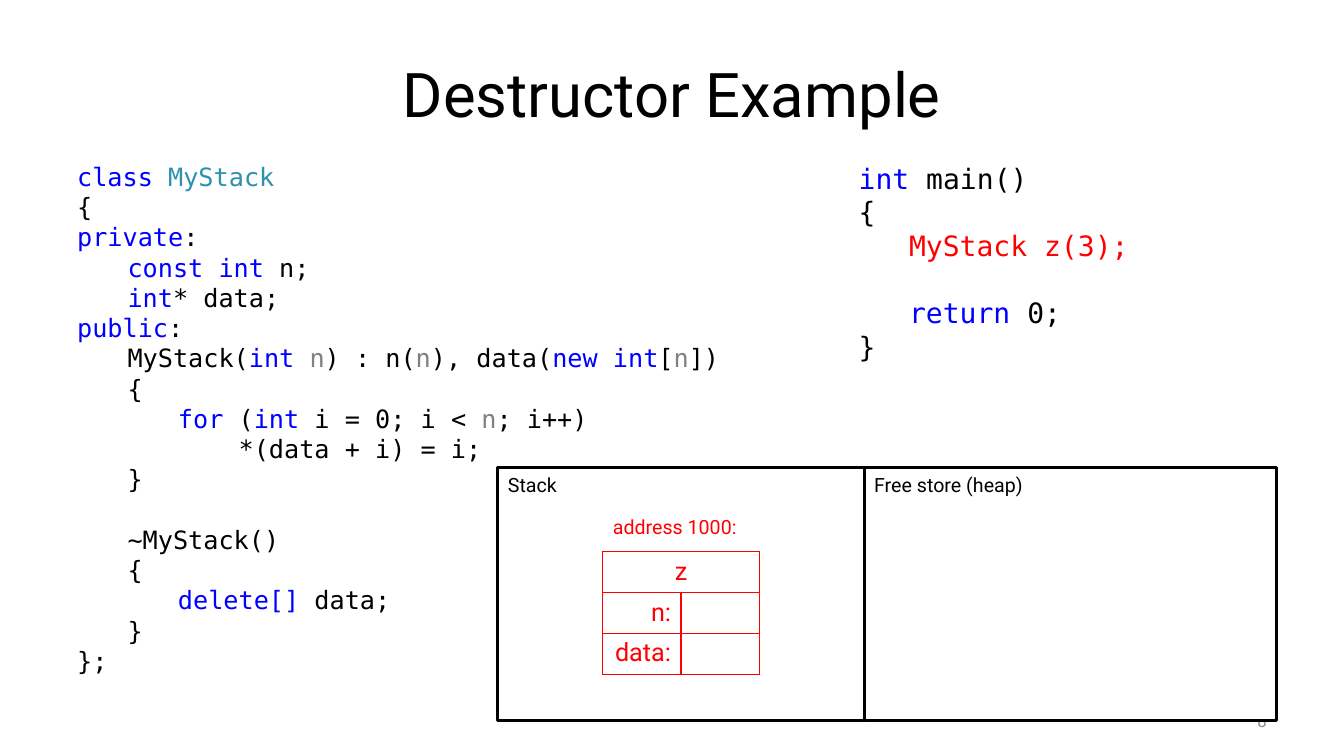
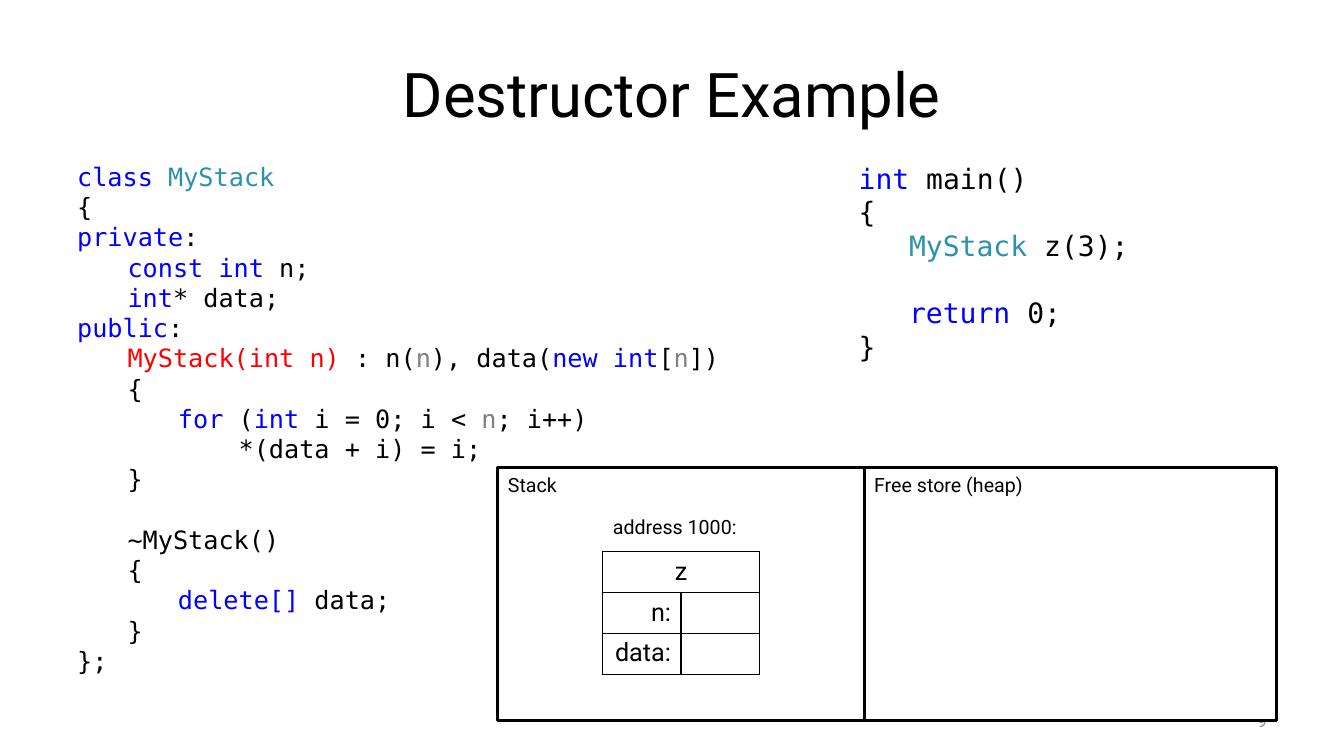
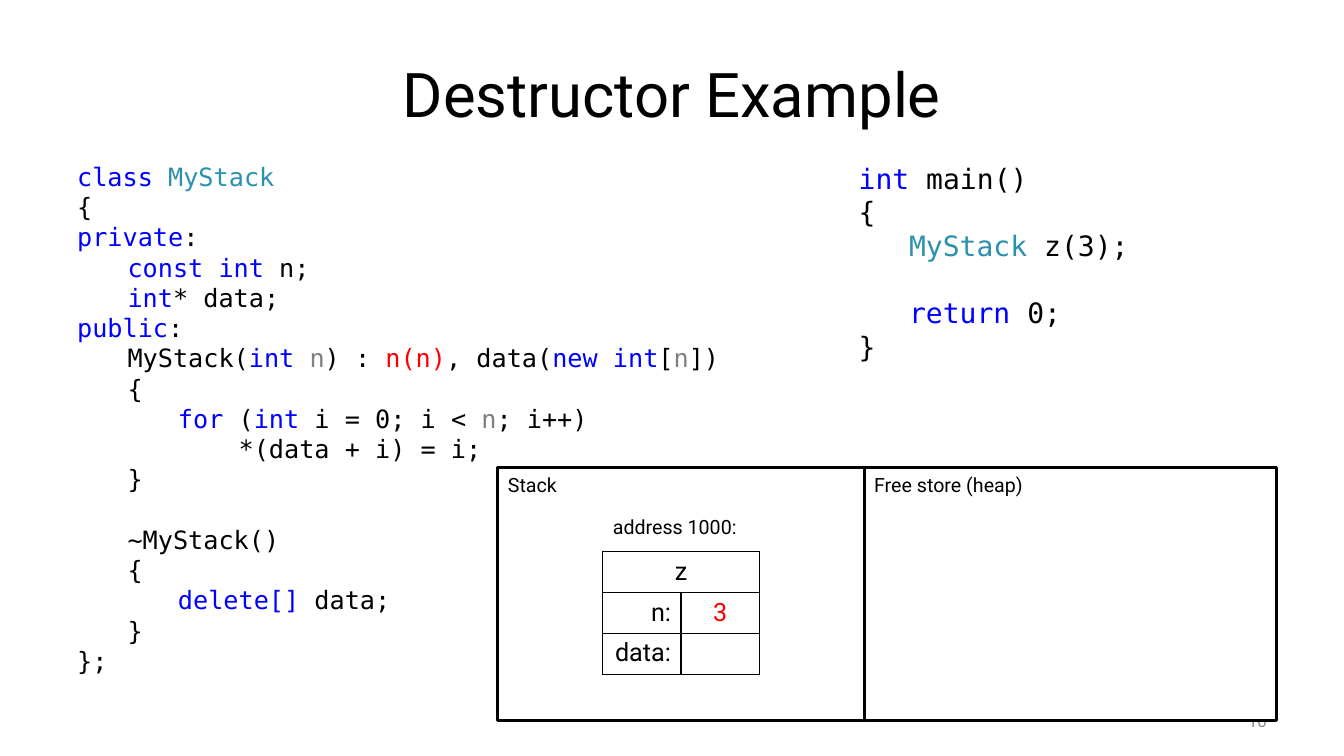
from lxml import etree
from pptx import Presentation
from pptx.dml.color import RGBColor
from pptx.enum.shapes import MSO_SHAPE
from pptx.enum.text import MSO_ANCHOR, PP_ALIGN
from pptx.oxml.ns import qn
from pptx.util import Inches, Pt

RECT = MSO_SHAPE.RECTANGLE
TOP, MID = MSO_ANCHOR.TOP, MSO_ANCHOR.MIDDLE
LEFT, CENTER, RIGHT = PP_ALIGN.LEFT, PP_ALIGN.CENTER, PP_ALIGN.RIGHT

WIDE, HIGH = Inches(13.333), Inches(7.5)
COL, ROW = WIDE / 20, HIGH / 25
SANS, MONO = "Roboto", "DejaVu Sans Mono"
LEAD = 1.2
COLORS = {
    "ink": "000000", "white": "FFFFFF", "red": "FF0000", "blue": "0000FF",
    "teal": "2B91AF", "grey": "808080", "pale": "8C8C8C",
}

# Grid positions in columns and rows: left, top, width, height
HEAD = (1, 1, 18, 4.17)
PAGE = (14.34, 23.17, 4.66, 1.33)
CLASS = (1, 5.17, 9.96, 17.5)
CALL = (12.63, 5.17, 5.46, 7.07)
PANES = {
    "Stack": (7.41, 15.47, 5.45, 8.37),
    "Free store (heap)": (12.86, 15.47, 6.14, 8.37),
}
CELL = (1.165, 1.35)
TABLE = (8.97, 16.9, 2 * CELL[0], 4 * CELL[1])

# Code rows are (indent level, text); "|" parts the runs, "color:" tints one
DECLARE = "MyStack(|blue:int |grey:n|) : n(|grey:n|)"
CALLED = "red:MyStack(int n) |: n(|grey:n|)"
SET_N = "MyStack(|blue:int |grey:n|) : |red:n(n)"
MAKE_RED, MAKE = "red:MyStack z(3);", "teal:MyStack| z(3);"


def class_code(init):
    return [
        (0, "blue:class |teal:MyStack"),
        (0, "{"),
        (0, "blue:private|:"),
        (1, "blue:const int| n;"),
        (1, "blue:int|* data;"),
        (0, "blue:public|:"),
        (1, init + "|, data(|blue:new int|[|grey:n|])"),
        (1, "{"),
        (2, "blue:for| (|blue:int| i = 0; i < |grey:n|; i++)"),
        (2, "    *(data + i) = i;"),
        (1, "}"),
        (0, ""),
        (1, "~MyStack()"),
        (1, "{"),
        (1, "blue:\tdelete[]| data;"),
        (1, "}"),
        (0, "};"),
    ]


def main_code(make):
    return [(0, "blue:int |main()"), (0, "{"), (1, make), (0, ""),
            (1, "blue:return| 0;"), (0, "}")]


def rgb(name):
    return RGBColor.from_string(COLORS[name])


def place(box):
    left, top, width, height = box
    return [round(n) for n in (left * COL, top * ROW, width * COL, height * ROW)]


def write(para, text, size=18, color="ink", font=SANS, align=LEFT):
    """Add one formatted run to a paragraph."""
    para.alignment = align
    run = para.add_run()
    run.text = text
    run.font.size, run.font.name = Pt(size), font
    run.font.color.rgb = rgb(color)


def frame(slide, box, anchor=TOP):
    body = slide.shapes.add_textbox(*place(box)).text_frame
    body.word_wrap, body.vertical_anchor = True, anchor
    return body


def label(slide, box, text, anchor=TOP, **style):
    write(frame(slide, box, anchor).paragraphs[0], text, **style)


def code(slide, box, rows, size):
    """Write code rows; an empty row becomes space before the next one."""
    body = frame(slide, box)
    para, gap = body.paragraphs[0], 0
    for i, (level, text) in enumerate(rows):
        if not text:
            gap = LEAD * size
            continue
        if i:
            para = body.add_paragraph()
        para.line_spacing, para.space_before = Pt(LEAD * size), Pt(gap)
        gap = 0
        props = para._p.get_or_add_pPr()
        props.set("marL", str(Inches(level / 2)))
        props.set("indent", "0")
        for part in text.split("|"):
            tint, _, rest = part.partition(":")
            if tint in COLORS:
                write(para, rest, size, tint, MONO)
            else:
                write(para, part, size, font=MONO)


def pane(slide, box):
    shape = slide.shapes.add_shape(RECT, *place(box))
    shape.shadow.inherit = False
    shape.fill.solid()
    shape.fill.fore_color.rgb = rgb("white")
    shape.line.color.rgb, shape.line.width = rgb("ink"), Pt(2)


def edge(cell, color, shown):
    """Draw the shown sides of a cell and clear the others."""
    props = cell._tc.get_or_add_tcPr()
    for i, side in enumerate("LRTB"):
        line = etree.Element(qn("a:ln" + side), w=str(Pt(1)))
        if side in shown:
            fill = etree.SubElement(line, qn("a:solidFill"))
            etree.SubElement(fill, qn("a:srgbClr"), val=COLORS[color])
        else:
            etree.SubElement(line, qn("a:noFill"))
        props.insert(i, line)


def memory(slide, color, value):
    """Draw object z as it lies on the stack."""
    grid = slide.shapes.add_table(4, 2, *place(TABLE)).table
    grid.first_row = grid.horz_banding = False
    for col in grid.columns:
        col.width = round(CELL[0] * COL)
    for r, row in enumerate(grid.rows):
        row.height = round(CELL[1] * ROW)
        for cell in row.cells:
            cell.fill.background()
            edge(cell, color, "LRTB" if r else "B")
    for r in (0, 1):
        grid.cell(r, 0).merge(grid.cell(r, 1))
    texts = [
        (0, 0, "address 1000:", LEFT, 14, color),
        (1, 0, "z", CENTER, 18, color),
        (2, 0, "n:", RIGHT, 18, color),
        (3, 0, "data:", RIGHT, 18, color),
        (2, 1, value, CENTER, 18, "red"),
    ]
    for r, c, text, align, size, tint in texts:
        if text:
            para = grid.cell(r, c).text_frame.paragraphs[0]
            write(para, text, size, tint, align=align)


def build(deck, page, make, init, color="ink", value=""):
    slide = deck.slides.add_slide(deck.slide_layouts[6])
    label(slide, HEAD, "Destructor Example", MID, size=44, align=CENTER)
    label(slide, PAGE, str(page), MID, size=12, color="pale", align=RIGHT)
    code(slide, CALL, main_code(make), 20)
    for box in PANES.values():
        pane(slide, box)
    memory(slide, color, value)
    code(slide, CLASS, class_code(init), 18)
    for name, (left, top, _, _) in PANES.items():
        label(slide, (left, top, 2.9, 1.13), name, size=14)


def main():
    deck = Presentation()
    deck.slide_width, deck.slide_height = WIDE, HIGH
    build(deck, 8, MAKE_RED, DECLARE, color="red")
    build(deck, 9, MAKE, CALLED)
    build(deck, 10, MAKE, SET_N, value="3")
    deck.save("out.pptx")


if __name__ == "__main__":
    main()
